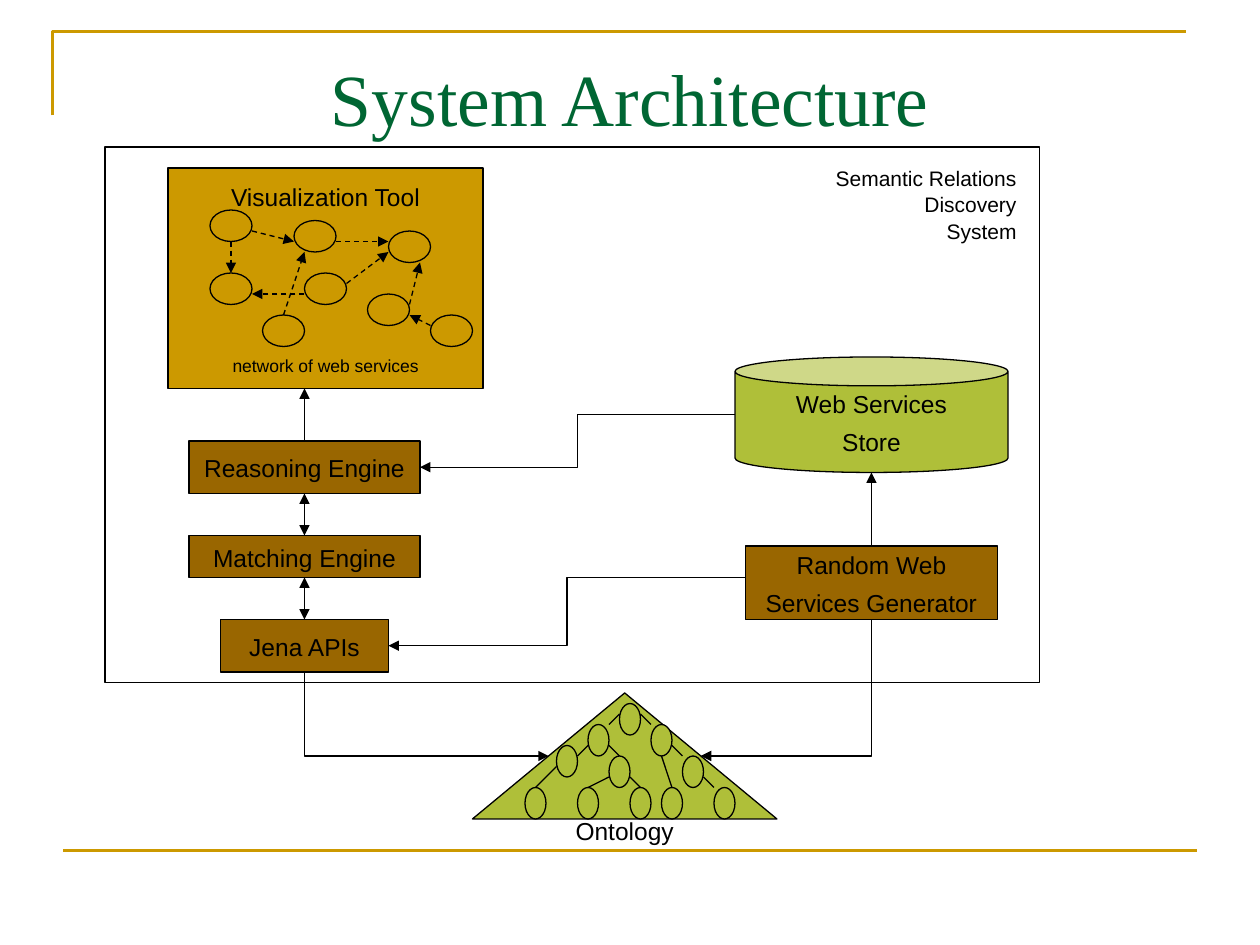
"""Build the System Architecture slide."""
import pptx
import pptx.dml.color
import pptx.enum.dml
import pptx.enum.shapes
import pptx.enum.text
import pptx.oxml.ns
import pptx.util
from lxml import etree

Pt = pptx.util.Pt
RGBColor = pptx.dml.color.RGBColor
Shape = pptx.enum.shapes.MSO_SHAPE
Connector = pptx.enum.shapes.MSO_CONNECTOR
Align = pptx.enum.text.PP_ALIGN
Anchor = pptx.enum.text.MSO_ANCHOR
qn = pptx.oxml.ns.qn

BLACK = RGBColor(0x00, 0x00, 0x00)
GOLD = RGBColor(0xCC, 0x99, 0x00)
BROWN = RGBColor(0x99, 0x66, 0x00)
OLIVE = RGBColor(0xAF, 0xBF, 0x39)
GREEN = RGBColor(0x00, 0x66, 0x33)
TOP, LEFT, BOTTOM, RIGHT = range(4)

SERVICE_NODES = [(120, 120), (168, 126), (120, 156), (150, 180),
                 (174, 156), (210, 168), (222, 132), (246, 180)]
SERVICE_LINKS = [(144, 132, 168, 138), (132, 138, 132, 156),
                 (162, 180, 174, 144), (174, 168, 144, 168),
                 (246, 186, 234, 180), (192, 138, 222, 138),
                 (198, 162, 222, 144), (234, 174, 240, 150)]
CONCEPT_NODES = [(354, 402), (336, 414), (372, 414), (318, 426),
                 (348, 432), (390, 432), (300, 450), (330, 450),
                 (360, 450), (378, 450), (408, 450)]
CONCEPT_LINKS = [(366, 408, 372, 414), (384, 426, 390, 432),
                 (354, 408, 348, 414), (336, 426, 330, 432),
                 (348, 426, 354, 432), (360, 444, 366, 450),
                 (348, 444, 336, 450), (378, 432, 384, 450),
                 (402, 444, 408, 450), (318, 438, 306, 450)]


def write_text(frame, text, sizes=(14,), font="Arial", color=BLACK,
               align=Align.CENTER, anchor=Anchor.MIDDLE, gap=3.5,
               spacing=1.06, hanging=0, wrap=False):
    """Fill a text frame with one paragraph per line of text."""
    frame.word_wrap = wrap
    frame.vertical_anchor = anchor
    for index, line in enumerate(text.split("\n")):
        paragraph = frame.paragraphs[0] if index == 0 else frame.add_paragraph()
        paragraph.alignment = align
        paragraph.line_spacing = spacing
        paragraph.space_before = Pt(gap if index else 0)
        if hanging:
            properties = paragraph._p.get_or_add_pPr()
            properties.set("marL", str(Pt(hanging)))
            properties.set("indent", str(-Pt(hanging)))
        run = paragraph.add_run()
        run.text = line
        run.font.size = Pt(sizes[min(index, len(sizes) - 1)])
        run.font.name = font
        run.font.color.rgb = color


class Diagram:
    """Hold the line style and the current slide."""

    def __init__(self, slide, line_color=BLACK, line_width=0.75):
        self.slide = slide
        self.line_color = line_color
        self.line_width = line_width

    def title(self, text, left, top, width, height, **style):
        title = self.slide.shapes.title
        title.left, title.top = Pt(left), Pt(top)
        title.width, title.height = Pt(width), Pt(height)
        write_text(title.text_frame, text, **style)

    def shape(self, kind, left, top, width, height, fill=None, text="", **style):
        shape = self.slide.shapes.add_shape(
            kind, Pt(left), Pt(top), Pt(width), Pt(height))
        shape.shadow.inherit = False
        if fill is None:
            shape.fill.background()
        else:
            shape.fill.solid()
            shape.fill.fore_color.rgb = fill
        shape.line.color.rgb = self.line_color
        shape.line.width = Pt(self.line_width)
        if text:
            write_text(shape.text_frame, text, **style)
        return shape

    def label(self, text, left, top, width, height, **style):
        label = self.slide.shapes.add_textbox(
            Pt(left), Pt(top), Pt(width), Pt(height))
        write_text(label.text_frame, text, anchor=Anchor.TOP, wrap=True, **style)

    def outline(self, points, color, width):
        builder = self.slide.shapes.build_freeform(*map(Pt, points[0]))
        builder.add_line_segments(
            [tuple(map(Pt, point)) for point in points[1:]], close=False)
        outline = builder.convert_to_shape()
        outline.shadow.inherit = False
        outline.fill.background()
        outline.line.color.rgb = color
        outline.line.width = Pt(width)

    def link(self, x1, y1, x2, y2, kind=Connector.STRAIGHT, color=None,
             width=None, dashed=False, arrows=(), begin=None, end=None):
        link = self.slide.shapes.add_connector(kind, Pt(x1), Pt(y1), Pt(x2), Pt(y2))
        link.line.color.rgb = color or self.line_color
        link.line.width = Pt(width or self.line_width)
        if dashed:
            link.line.dash_style = pptx.enum.dml.MSO_LINE.DASH
        for arrow in arrows:
            etree.SubElement(link.line._get_or_add_ln(), qn("a:" + arrow),
                             type="triangle")
        etree.SubElement(link._element.spPr, qn("a:effectLst"))
        if begin:
            link.begin_connect(*begin)
        if end:
            link.end_connect(*end)
        return link

    def corner(self, x1, y1, x2, y2):
        """Draw an arrow that goes down, then turns once to the side."""
        x, y = (x1 + x2) / 2, (y1 + y2) / 2
        side = 1 if x2 > x1 else -1
        half_drop, half_run = side * (y2 - y1) / 2, abs(x2 - x1) / 2
        link = self.link(x + half_drop, y - half_run, x - half_drop, y + half_run,
                         kind=Connector.ELBOW, arrows=["tailEnd"])
        properties = link._element.spPr
        properties.find(qn("a:prstGeom")).set("prst", "bentConnector2")
        degrees = 270 if side > 0 else 90
        properties.find(qn("a:xfrm")).set("rot", str(degrees * 60000))


def main():
    deck = pptx.Presentation()
    deck.slide_width, deck.slide_height = Pt(720), Pt(540)
    diagram = Diagram(deck.slides.add_slide(deck.slide_layouts[5]))

    diagram.outline([(30, 66), (30, 18), (678, 18)], GOLD, 1.5)
    diagram.link(36, 486, 684, 486, color=GOLD, width=1.5)
    diagram.title("System Architecture", 36, 21.6, 648, 90, sizes=(42,),
                  font="Times New Roman", color=GREEN, anchor=Anchor.TOP,
                  spacing=1.1, wrap=True)

    diagram.shape(Shape.RECTANGLE, 96, 96, 180, 126, GOLD,
                  "Visualization Tool\nnetwork of web services",
                  sizes=(14, 10), gap=81)
    for left, top in SERVICE_NODES:
        diagram.shape(Shape.OVAL, left, top, 24, 18, GOLD)
    for ends in SERVICE_LINKS:
        diagram.link(*ends, dashed=True, arrows=["tailEnd"])

    reasoning = diagram.shape(Shape.RECTANGLE, 108, 252, 132, 30, BROWN,
                              "Reasoning Engine")
    matching = diagram.shape(Shape.RECTANGLE, 108, 306, 132, 24, BROWN,
                             "Matching Engine")
    jena = diagram.shape(Shape.RECTANGLE, 126, 354, 96, 30, BROWN, "Jena APIs")
    diagram.shape(Shape.CAN, 420, 204, 156, 66, OLIVE, "Web Services\nStore")
    generator = diagram.shape(Shape.RECTANGLE, 426, 312, 144, 42, BROWN,
                              "Random Web\nServices Generator")

    diagram.shape(Shape.ISOSCELES_TRIANGLE, 270, 396, 174, 72, OLIVE)
    for left, top in CONCEPT_NODES:
        diagram.shape(Shape.OVAL, left, top, 12, 18, OLIVE)
    for ends in CONCEPT_LINKS:
        diagram.link(*ends)
    diagram.label("Ontology", 318, 462, 78, 24)

    diagram.link(174, 252, 174, 222, arrows=["tailEnd"], begin=(reasoning, TOP))
    diagram.link(498, 312, 498, 270, arrows=["tailEnd"], begin=(generator, TOP))
    for upper, lower in [(reasoning, matching), (matching, jena)]:
        diagram.link(0, 0, 0, 0, arrows=["headEnd", "tailEnd"],
                     begin=(upper, BOTTOM), end=(lower, TOP))
    for ends in [(420, 237, 240, 267), (426, 330, 222, 369)]:
        diagram.link(*ends, kind=Connector.ELBOW, arrows=["tailEnd"])
    diagram.corner(498, 354, 400.5, 432)
    diagram.corner(174, 384, 313.5, 432)

    diagram.label("Semantic Relations Discovery System", 468, 90, 120, 50,
                  sizes=(12,), align=Align.RIGHT, hanging=27)
    diagram.shape(Shape.RECTANGLE, 60, 84, 534, 306)
    deck.save("out.pptx")


if __name__ == "__main__":
    main()
